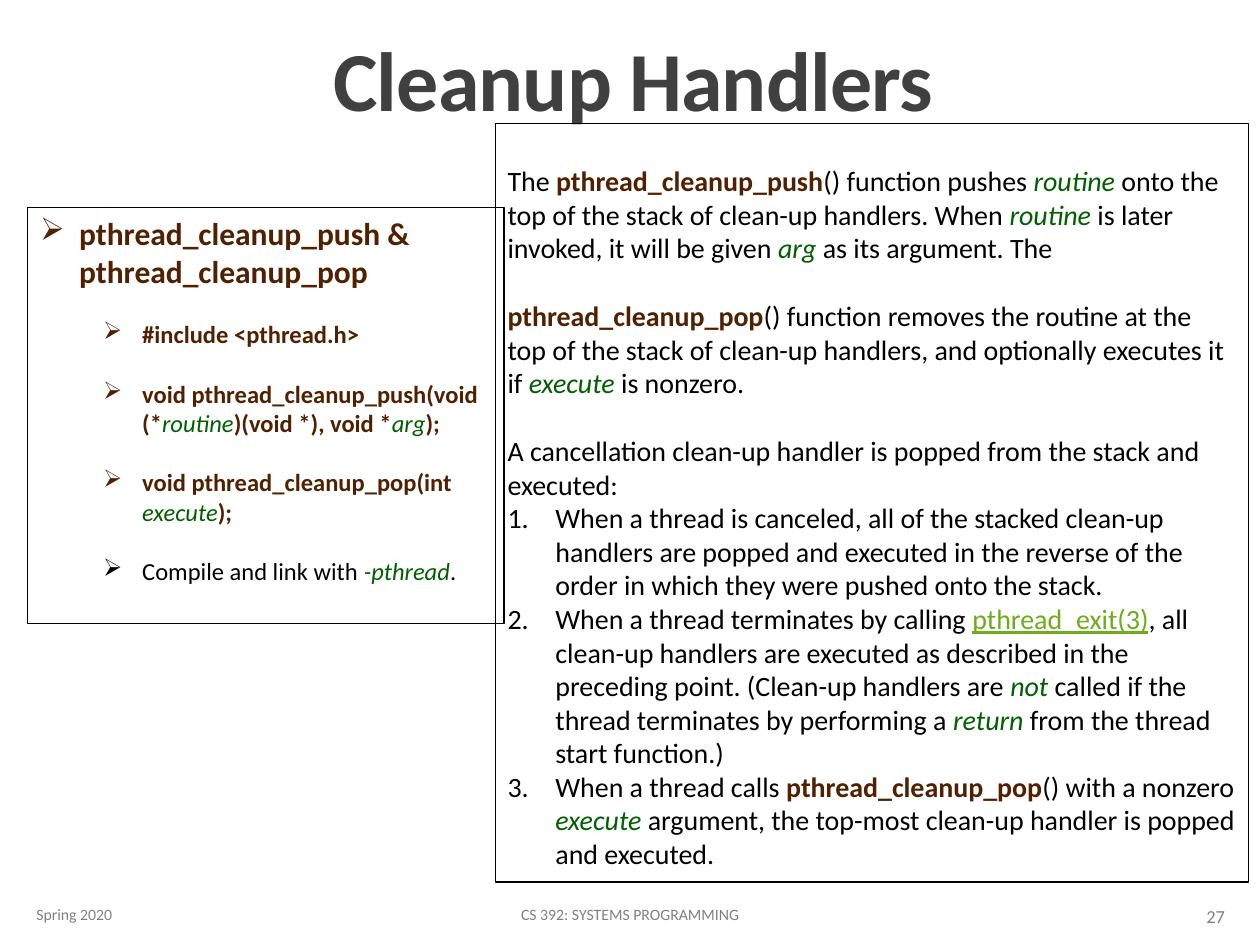
from lxml import etree
from pptx import Presentation
from pptx import util as u
from pptx.dml.color import RGBColor
from pptx.enum import shapes, text
from pptx.oxml.ns import qn

COLORS = {"title": "404040", "footer": "808080", "body": "000000",
          "name": "502000", "arg": "006000", "link": "6EAC1C"}
ROLES = {
    "body": {"color": "body"},
    "name": {"color": "name", "bold": True},
    "arg": {"color": "arg", "italic": True},
    "link": {"color": "link", "underline": True},
}
ALIGN = text.PP_ALIGN
ANCHOR = text.MSO_ANCHOR


def add_run(paragraph, words, size, color="body", bold=False, italic=False,
            underline=False, tracking=None):
    run = paragraph.add_run()
    run.text = words
    font = run.font
    font.name, font.size = "Calibri", u.Pt(size)
    font.bold, font.italic, font.underline = bold, italic, underline
    font.color.rgb = RGBColor.from_string(COLORS[color])
    if tracking is not None:
        run._r.get_or_add_rPr().set("spc", str(int(tracking * 100)))


def set_bullet(paragraph, left, hanging, char=None):
    props = paragraph._p.get_or_add_pPr()
    props.set("marL", str(u.Inches(left)))
    props.set("indent", str(-u.Inches(hanging)))
    if char:
        etree.SubElement(props, qn("a:buChar")).set("char", char)
    else:
        etree.SubElement(props, qn("a:buAutoNum")).set("type", "arabicPeriod")


class SlideBuilder:
    """Holds the deck, its current slide and the ways to add elements."""

    def __init__(self):
        self.deck = Presentation()
        self.deck.slide_width, self.deck.slide_height = u.Inches(10), u.Inches(7.5)
        self.slide = self.deck.slides.add_slide(self.deck.slide_layouts[6])

    def label(self, words, place, align, anchor=ANCHOR.MIDDLE, line_spacing=None, **style):
        box = self.slide.shapes.add_textbox(*map(u.Inches, place))
        frame = box.text_frame
        frame.word_wrap, frame.vertical_anchor = True, anchor
        paragraph = frame.paragraphs[0]
        paragraph.alignment = align
        if line_spacing:
            paragraph.line_spacing = line_spacing
        add_run(paragraph, words, **style)

    def panel(self, place, top_inset=0.05):
        box = self.slide.shapes.add_shape(shapes.MSO_SHAPE.RECTANGLE, *map(u.Inches, place))
        box.shadow.inherit = False
        box.fill.background()
        box.line.color.rgb = RGBColor.from_string(COLORS["body"])
        box.line.width = u.Pt(0.75)
        frame = box.text_frame
        frame.word_wrap, frame.vertical_anchor = True, ANCHOR.TOP
        frame.margin_top = u.Inches(top_inset)
        return frame

    def paragraph(self, frame, runs, size, gap=0, bullet=None):
        first = frame.paragraphs[0]
        paragraph = frame.add_paragraph() if first.runs else first
        paragraph.alignment = ALIGN.LEFT
        paragraph.space_before = u.Pt(gap)
        for words, role in runs:
            add_run(paragraph, words, size, **ROLES[role])
        if bullet:
            set_bullet(paragraph, **bullet)


def main():
    builder = SlideBuilder()
    builder.label("Cleanup Handlers", (0.9, 0.04, 8.25, 1.03), ALIGN.CENTER, ANCHOR.BOTTOM,
                  line_spacing=0.85, size=48, color="title", bold=True, tracking=-0.5)
    for words, place, align, size in (
        ("Spring 2020", (0.19, 7.06, 2.03, 0.4), ALIGN.LEFT, 9),
        ("CS 392: SYSTEMS PROGRAMMING", (3.02, 7.06, 3.96, 0.4), ALIGN.CENTER, 9),
        ("27", (8.74, 7.07, 1.08, 0.4), ALIGN.RIGHT, 10.5),
    ):
        builder.label(words, place, align, size=size, color="footer")

    synopsis = builder.panel((0.22, 1.65, 3.78, 3.3))
    builder.paragraph(synopsis, [("pthread_cleanup_push & pthread_cleanup_pop", "name")], 18,
                      bullet={"left": 0.31, "hanging": 0.31, "char": "➢"})
    declarations = [
        [("#include <pthread.h>", "name")],
        [("void pthread_cleanup_push(void (*", "name"), ("routine", "arg"),
         (")(void *), void *", "name"), ("arg", "arg"), (");", "name")],
        [("void pthread_cleanup_pop(int ", "name"), ("execute", "arg"), (");", "name")],
        [("Compile and link with ", "body"), ("-pthread", "arg"), (".", "body")],
    ]
    for runs in declarations:
        builder.paragraph(synopsis, runs, 14, gap=17,
                          bullet={"left": 0.81, "hanging": 0.31, "char": "➢"})

    description = builder.panel((3.93, 0.98, 5.98, 6.02), top_inset=0.32)
    explanations = [
        [("The ", "body"), ("pthread_cleanup_push", "name"), ("() function pushes ", "body"),
         ("routine", "arg"), (" onto the top of the stack of clean-up handlers. When ", "body"),
         ("routine", "arg"), (" is later invoked, it will be given ", "body"),
         ("arg", "arg"), (" as its argument. The", "body")],
        [("pthread_cleanup_pop", "name"),
         ("() function removes the routine at the top of the stack of clean-up handlers, "
          "and optionally executes it if ", "body"),
         ("execute", "arg"), (" is nonzero.", "body")],
        [("A cancellation clean-up handler is popped from the stack and executed:", "body")],
    ]
    for runs in explanations:
        builder.paragraph(description, runs, 16, gap=19.5 if description.text else 0)
    cases = [
        [("When a thread is canceled, all of the stacked clean-up handlers are popped and "
          "executed in the reverse of the order in which they were pushed onto the stack.",
          "body")],
        [("When a thread terminates by calling ", "body"), ("pthread_exit(3)", "link"),
         (", all clean-up handlers are executed as described in the preceding point. "
          "(Clean-up handlers are ", "body"), ("not", "arg"),
         (" called if the thread terminates by performing a ", "body"), ("return", "arg"),
         (" from the thread start function.)", "body")],
        [("When a thread calls ", "body"), ("pthread_cleanup_pop", "name"),
         ("() with a nonzero ", "body"), ("execute", "arg"),
         (" argument, the top-most clean-up handler is popped and executed.", "body")],
    ]
    for runs in cases:
        builder.paragraph(description, runs, 16, bullet={"left": 0.38, "hanging": 0.38})

    builder.deck.save("out.pptx")


if __name__ == "__main__":
    main()
